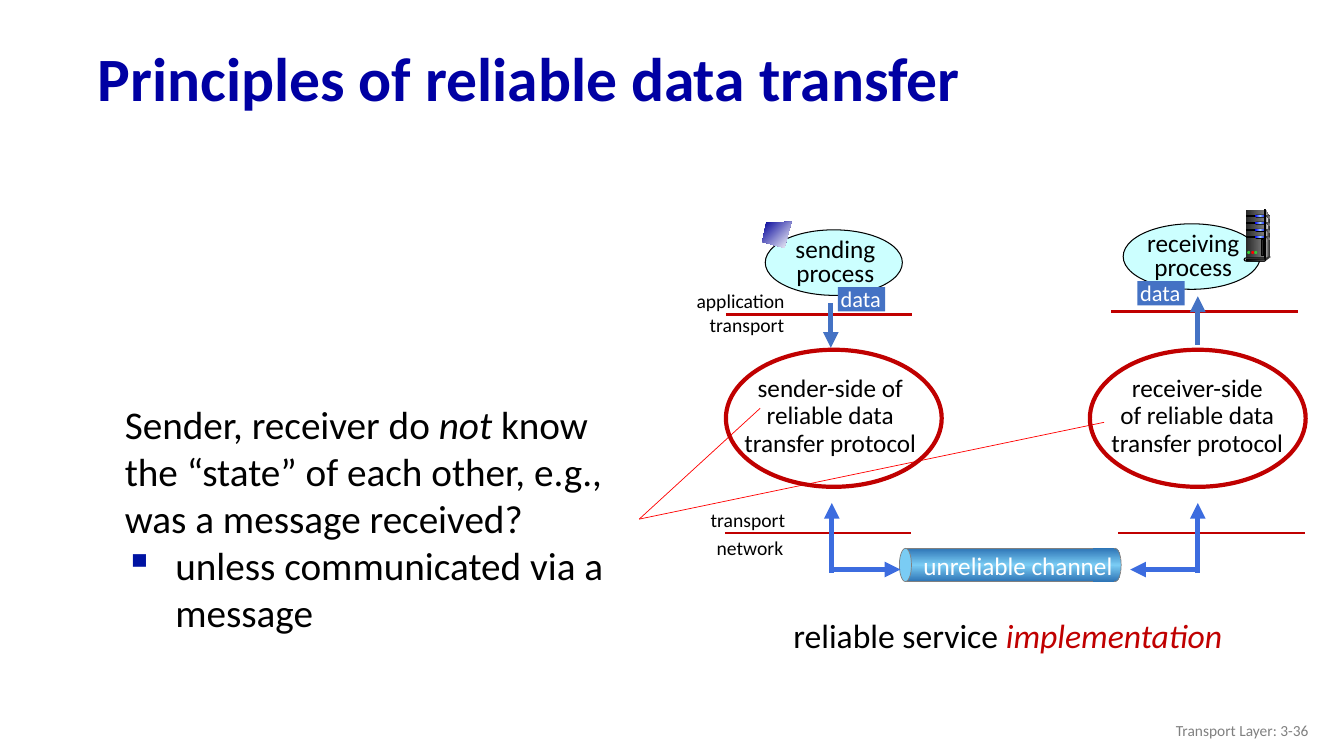
from pptx import Presentation
from pptx.dml.color import RGBColor
from pptx.enum.shapes import MSO_CONNECTOR as CONNECTOR, MSO_SHAPE as SHAPE
from pptx.enum.text import MSO_ANCHOR as ANCHOR, MSO_AUTO_SIZE as AUTO_SIZE, PP_ALIGN as ALIGN
from pptx.oxml import parse_xml
from pptx.oxml.ns import nsdecls, qn
from pptx.util import Inches, Pt
from lxml.etree import SubElement

NAVY = RGBColor(0x00, 0x00, 0xA3)
BULLET_BLUE = RGBColor(0x00, 0x13, 0xA3)
INK_BLUE = RGBColor(0x00, 0x00, 0x99)
BLUE = RGBColor(0x44, 0x72, 0xC4)
ARROW_BLUE = RGBColor(0x3C, 0x6C, 0xDF)
PIPE_BLUE = RGBColor(0x2E, 0x75, 0xB6)
PIPE_LIGHT = RGBColor(0x7A, 0xCC, 0xF4)
PALE_CYAN = RGBColor(0xCC, 0xFF, 0xFF)
LAMP_BLUE = RGBColor(0x00, 0x00, 0xFF)
LAMP_LIGHT = RGBColor(0x99, 0xCC, 0xFF)
DARK_RED = RGBColor(0xC0, 0x00, 0x00)
RED = RGBColor(0xFF, 0x00, 0x00)
GREEN = RGBColor(0x33, 0xCC, 0x33)
BLACK = RGBColor(0x00, 0x00, 0x00)
WHITE = RGBColor(0xFF, 0xFF, 0xFF)
GRAY = RGBColor(0x80, 0x80, 0x80)
COAL = RGBColor(0x29, 0x29, 0x29)
DARK_GRAY = RGBColor(0x33, 0x33, 0x33)
LIGHT_GRAY = RGBColor(0xDD, 0xDD, 0xDD)
NEAR_WHITE = RGBColor(0xF8, 0xF8, 0xF8)


class SlideBuilder:
    font_name = "Calibri"

    def __init__(self, slide):
        self.slide = slide

    def style(self, shape, fill, line, width, angle):
        """Fill is None, one colour, or a tuple of evenly spaced gradient colours."""
        shape.shadow.inherit = False
        if fill is None:
            shape.fill.background()
        elif isinstance(fill, RGBColor):
            shape.fill.solid()
            shape.fill.fore_color.rgb = fill
        else:
            shape.fill.solid()
            step = 100000 // (len(fill) - 1)
            stops = "".join(f'<a:gs pos="{i * step}"><a:srgbClr val="{color}"/></a:gs>'
                            for i, color in enumerate(fill))
            gradient = parse_xml(f'<a:gradFill {nsdecls("a")} rotWithShape="1"><a:gsLst>{stops}</a:gsLst>'
                                 f'<a:lin ang="{angle * 60000}" scaled="0"/></a:gradFill>')
            properties = shape._element.spPr
            properties.replace(properties.find(qn("a:solidFill")), gradient)
        if line is None:
            shape.line.fill.background()
        else:
            shape.line.color.rgb = line
            shape.line.width = Pt(width)

    def shape(self, kind, box, fill=None, line=None, width=0.75, angle=0):
        shape = self.slide.shapes.add_shape(kind, *map(Inches, box))
        self.style(shape, fill, line, width, angle)
        if kind == SHAPE.ROUNDED_RECTANGLE:
            shape.adjustments[0] = 0.5

    def outline(self, points, fill, angle=0):
        points = [(Inches(x), Inches(y)) for x, y in points]
        builder = self.slide.shapes.build_freeform(*points[0], scale=1.0)
        builder.add_line_segments(points[1:], close=True)
        self.style(builder.convert_to_shape(), fill, None, 0, angle)

    def line(self, start, end, color, width, arrow=False):
        connector = self.slide.shapes.add_connector(
            CONNECTOR.STRAIGHT, *map(Inches, (*start, *end)))
        connector.line.color.rgb = color
        connector.line.width = Pt(width)
        if arrow:
            SubElement(connector.line._get_or_add_ln(), qn("a:tailEnd"), type="triangle")
        SubElement(connector._element.spPr, qn("a:effectLst"))

    def text(self, box, paragraphs, size, color=BLACK, align=ALIGN.LEFT, spacing=1.0,
             wrap=True, grow=True, bold=False, emphasis=None):
        """Each paragraph is a list of pieces; every second piece is italic."""
        text_box = self.slide.shapes.add_textbox(*map(Inches, box))
        text_frame = text_box.text_frame
        text_frame.word_wrap = wrap
        text_frame.auto_size = AUTO_SIZE.SHAPE_TO_FIT_TEXT if grow else AUTO_SIZE.NONE
        text_frame.vertical_anchor = ANCHOR.TOP if grow else ANCHOR.MIDDLE
        for index, pieces in enumerate(paragraphs):
            paragraph = text_frame.add_paragraph() if index else text_frame.paragraphs[0]
            paragraph.alignment = align
            paragraph.line_spacing = spacing
            for position, piece in enumerate(pieces):
                run = paragraph.add_run()
                run.text = piece
                run.font.name = self.font_name
                run.font.size = Pt(size)
                run.font.bold = bold
                run.font.italic = position % 2 == 1
                run.font.color.rgb = emphasis if emphasis and position % 2 else color
        return text_frame

    def bullet(self, paragraph, symbol, color, indent):
        properties = paragraph._p.get_or_add_pPr()
        properties.set("marL", str(Inches(indent)))
        properties.set("indent", str(-Inches(indent)))
        bullet_color = SubElement(properties, qn("a:buClr"))
        SubElement(bullet_color, qn("a:srgbClr"), val=str(color))
        SubElement(properties, qn("a:buChar"), char=symbol)

    def process(self, left, top, label, data_left):
        self.shape(SHAPE.OVAL, (left, top, 1.36, 0.65), PALE_CYAN, BLACK)
        self.text((left + 0.09, top + 0.04, 1.21, 0.59), [[label]], 18,
                  align=ALIGN.CENTER, spacing=0.8)
        self.shape(SHAPE.RECTANGLE, (data_left, top + 0.57, 0.47, 0.24), BLUE)
        self.text((data_left - 0.07, top + 0.5, 0.63, 0.37), [["data"]], 16, WHITE)

    def server(self):
        # Cabinet
        self.outline([(12.55, 2.08), (12.59, 2.14), (12.59, 2.55), (12.54, 2.57)],
                     (LIGHT_GRAY, DARK_GRAY))
        self.shape(SHAPE.RECTANGLE, (12.36, 2.08, 0.19, 0.49), (COAL, GRAY))
        self.outline([(12.55, 2.11), (12.58, 2.15), (12.56, 2.33), (12.55, 2.55)],
                     (GRAY, NEAR_WHITE))
        # Drive bays with their side vents
        for y in (2.13, 2.2, 2.27, 2.34):
            self.outline([(12.55, y), (12.59, y + 0.02), (12.59, y + 0.04), (12.55, y + 0.01)],
                         (COAL, GRAY))
            self.shape(SHAPE.RECTANGLE, (12.36, y + 0.01, 0.11, 0.01), BLACK, BLACK)
            self.shape(SHAPE.ROUNDED_RECTANGLE, (12.45, y, 0.1, 0.03), BLACK)
            self.shape(SHAPE.ROUNDED_RECTANGLE, (12.45, y, 0.1, 0.02),
                       (LAMP_BLUE, LAMP_LIGHT, LAMP_BLUE))
        self.shape(SHAPE.RECTANGLE, (12.54, 2.08, 0.01, 0.49),
                   (DARK_GRAY, LIGHT_GRAY, DARK_GRAY), BLACK)
        # Base, lamps and slot
        self.shape(SHAPE.OVAL, (12.59, 2.54, 0.01, 0.02), DARK_GRAY)
        self.outline([(12.55, 2.56), (12.55, 2.59), (12.59, 2.56), (12.59, 2.54)], DARK_GRAY)
        self.shape(SHAPE.ROUNDED_RECTANGLE, (12.34, 2.56, 0.21, 0.03), LIGHT_GRAY, BLACK)
        self.shape(SHAPE.ROUNDED_RECTANGLE, (12.36, 2.57, 0.19, 0.02), (BLACK, GRAY), BLACK)
        for x, color in ((12.37, GREEN), (12.41, RED), (12.44, GREEN)):
            self.shape(SHAPE.OVAL, (x, 2.49, 0.03, 0.03), color)
        self.shape(SHAPE.RECTANGLE, (12.51, 2.38, 0.02, 0.16), COAL, BLACK)

    def channel(self):
        tube = (PIPE_BLUE, PIPE_LIGHT, PIPE_BLUE)
        self.shape(SHAPE.RECTANGLE, (8.98, 5.44, 2.07, 0.33), tube, GRAY, 0.5, 270)
        self.shape(SHAPE.OVAL, (8.92, 5.44, 0.12, 0.33), PIPE_LIGHT, GRAY, 0.5)
        self.shape(SHAPE.OVAL, (11, 5.44, 0.12, 0.33), tube, GRAY, 0.5, 270)
        self.shape(SHAPE.RECTANGLE, (10.84, 5.44, 0.21, 0.33), tube, angle=270)
        self.text((9.06, 5.41, 2.1, 0.4), [["unreliable channel"]], 18, WHITE, wrap=False)


def main():
    presentation = Presentation()
    presentation.slide_width, presentation.slide_height = Inches(13.33), Inches(7.5)
    builder = SlideBuilder(presentation.slides.add_slide(presentation.slide_layouts[6]))

    # Title
    builder.text((0.87, 0.32, 12.14, 0.98), [["Principles of reliable data transfer"]], 44,
                 NAVY, spacing=0.9, grow=False, bold=True)

    # Application processes
    builder.process(7.59, 2.28, "sending process", 8.31)
    builder.outline([(7.85, 2.2), (7.6, 2.21), (7.56, 2.4), (7.78, 2.46)], (INK_BLUE, WHITE), 45)
    builder.process(11.14, 2.22, "receiving process", 11.28)
    builder.server()

    # Layer boundaries
    for left, y in ((7.2, 3.12), (11.02, 3.09), (7.19, 5.29), (11.09, 5.29)):
        builder.line((left, y), (left + 1.85, y), DARK_RED, 1.75)
    for left, top, width, label in ((6.81, 2.82, 1.09, "application"), (6.94, 3.06, 0.95, "transport"),
                                    (6.95, 4.99, 0.95, "transport"), (7.01, 5.27, 0.87, "network")):
        builder.text((left, top, width, 0.34), [[label]], 14, wrap=False)

    # Channel and arrows
    builder.channel()
    builder.line((8.24, 3.01), (8.24, 3.45), BLUE, 3.75, arrow=True)
    builder.line((11.88, 3.42), (11.88, 2.94), BLUE, 3.75, arrow=True)
    for x, channel_end in ((8.25, 8.93), (11.88, 11.21)):
        builder.line((x, 5.68), (x, 4.99), ARROW_BLUE, 3.75, arrow=True)
        builder.line((x, 5.65), (channel_end, 5.65), ARROW_BLUE, 3.75, arrow=True)

    # Protocol sides
    for left, lines in ((7.2, ("sender-side of", "reliable data transfer protocol")),
                        (10.84, ("receiver-side", "of reliable data transfer protocol"))):
        builder.text((left, 3.68, 2.07, 0.92), [[line] for line in lines], 18,
                     align=ALIGN.CENTER, spacing=0.9)
    builder.text((7.77, 6.05, 5.09, 0.5), [["reliable service ", "implementation"]], 24,
                 emphasis=DARK_RED)

    # Remark with its pointers
    remark = builder.text((1.14, 3.92, 5.27, 2.46), [
        ["Sender, receiver do ", "not", " know the “state” of each other, e.g., was a message received?"],
        ["unless communicated via a message"]], 28)
    builder.bullet(remark.paragraphs[1], "▪", BULLET_BLUE, 0.5)
    for target in ((7.54, 4.05), (10.95, 4.19)):
        builder.line(target, (6.34, 5.15), RED, 0.5)
    for left in (7.2, 10.81):
        builder.shape(SHAPE.OVAL, (left, 3.47, 2.14, 1.36), None, DARK_RED, 3)

    # Footer
    builder.text((10.08, 7.05, 3, 0.4), [["Transport Layer: 3-36"]], 11, GRAY,
                 ALIGN.RIGHT, grow=False)
    presentation.save("out.pptx")


if __name__ == "__main__":
    main()
